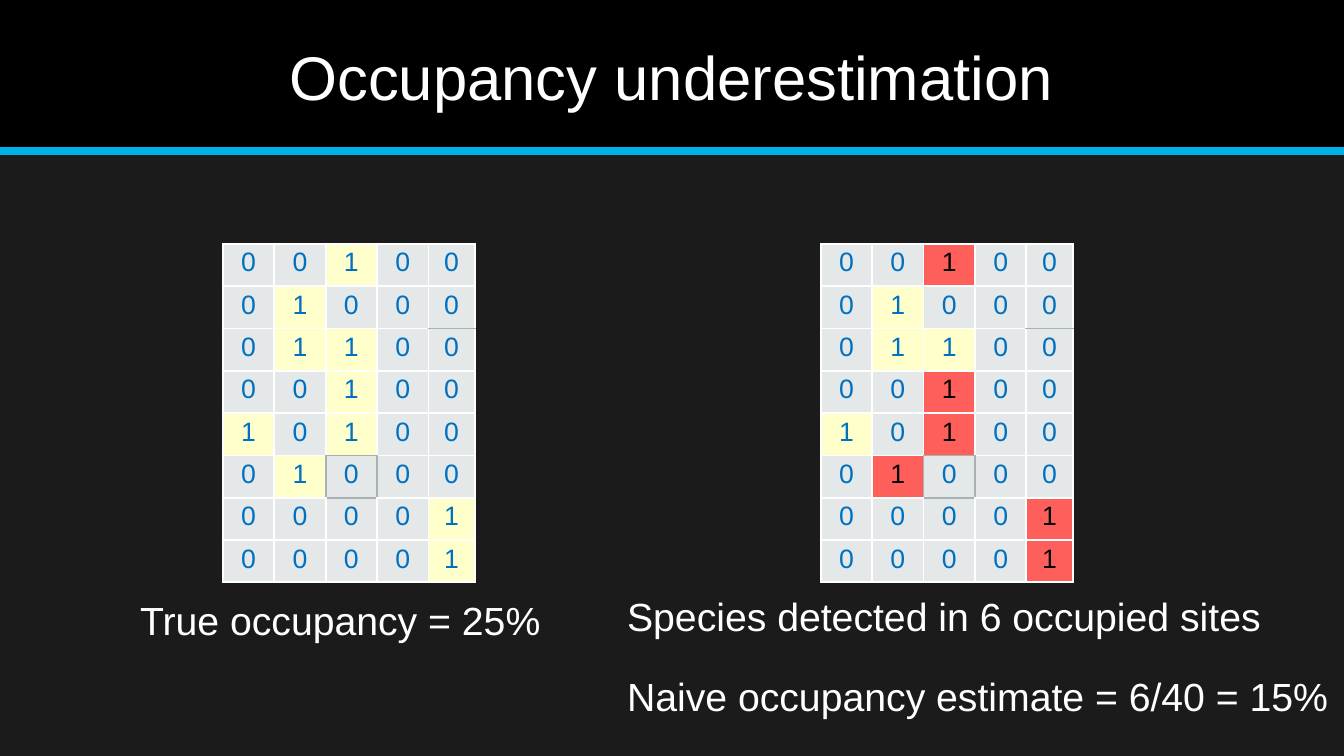
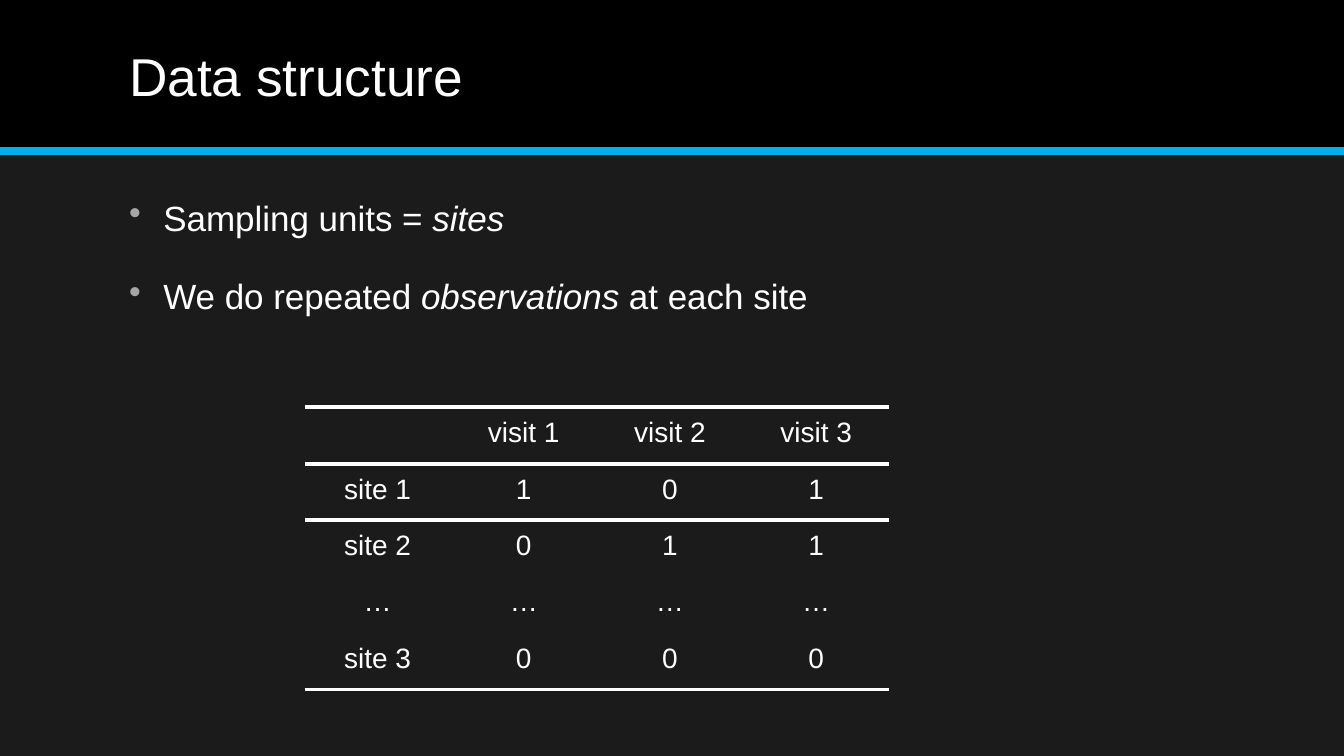
from lxml import etree
from pptx import Presentation
from pptx import util as u
from pptx.dml.color import RGBColor
from pptx.enum import shapes, text
from pptx.oxml import ns

PX = 9144
WHITE, BLACK, DARK, BLUE = "FFFFFF", "000000", "1B1B1B", "00B0EA"
PALE, YELLOW, RED, INK, GREY = "E5E8E8", "FFFFCC", "FF5F5B", "0070C0", "A8B2B2"
BULLET = "A6A6A6"
SITES = ("00100", "01000", "01100", "00100", "10100", "01000", "00001", "00001")
DETECTED = {(0, 2), (3, 2), (4, 2), (5, 1), (6, 4), (7, 4)}
GREY_EDGES = {(1, 4): "B", (2, 4): "T", (4, 2): "B", (5, 1): "R",
              (5, 2): "LRTB", (5, 3): "L", (6, 2): "T"}
VISITS = (("", "visit 1", "visit 2", "visit 3"), ("site 1", "1", "0", "1"),
          ("site 2", "0", "1", "1"), ("…",) * 4, ("site 3", "0", "0", "0"))
RULES = ("TB", "TB", "T", "", "B")


def px(n):
    """Turn whole pixels into EMU."""
    return u.Emu(n * PX)


def rgb(value):
    """Turn a hex string into a colour."""
    return RGBColor.from_string(value)


def sub(parent, tag, **attrs):
    """Append a drawing element and return it."""
    return etree.SubElement(parent, ns.qn("a:" + tag), attrs)


def write(p, parts, size=28, color=WHITE, align=text.PP_ALIGN.LEFT, before=0, bullet=False):
    """Fill a paragraph; every second part is italic."""
    p.alignment = align
    p.space_before = u.Pt(before)
    if bullet:
        pPr = p._p.get_or_add_pPr()
        pPr.set("marL", str(px(35)))
        pPr.set("indent", str(px(-34)))
        sub(sub(pPr, "buClr"), "srgbClr", val=BULLET)
        sub(pPr, "buChar", char="•")
    for i, part in enumerate(parts):
        r = p.add_run()
        r.text = part
        r.font.name, r.font.size = "Arial", u.Pt(size)
        r.font.italic = i % 2 == 1
        r.font.color.rgb = rgb(color)


def draw_borders(cell, colors, width):
    """Draw the given edges of a cell and clear the others."""
    tcPr = cell._tc.get_or_add_tcPr()
    for side in "LRTB":
        ln = sub(tcPr, "ln" + side, w=str(u.Pt(width)))
        if side in colors:
            sub(sub(ln, "solidFill"), "srgbClr", val=colors[side])
        else:
            sub(ln, "noFill")


class Deck:
    """Hold the shared style and the current slide."""

    def __init__(self):
        """Start an empty wide deck."""
        self.prs = Presentation()
        self.prs.slide_width, self.prs.slide_height = u.Inches(13.33), u.Inches(7.5)

    def slide(self, title, x, y, size):
        """Add a slide with its title band."""
        self.s = self.prs.slides.add_slide(self.prs.slide_layouts[6])
        fill = self.s.background.fill
        fill.solid()
        fill.fore_color.rgb = rgb(DARK)
        band = self.s.shapes.add_shape(shapes.MSO_SHAPE.RECTANGLE, 0, 0, px(1333), px(146))
        band.shadow.inherit = False
        band.fill.solid()
        band.fill.fore_color.rgb = rgb(BLACK)
        band.line.fill.background()
        rule = self.s.shapes.add_connector(
            shapes.MSO_CONNECTOR.STRAIGHT, 0, px(150), px(1333), px(150))
        rule.line.color.rgb = rgb(BLUE)
        rule.line.width = u.Pt(6)
        sub(rule._element.spPr, "effectLst")
        self.textbox(x, y, 800, 70, [(title,)], size=size)

    def textbox(self, x, y, w, h, paragraphs, gap=0, **style):
        """Add a text box with a gap between paragraphs."""
        sp = self.s.shapes.add_textbox(px(x), px(y), px(w), px(h))
        tf = sp.text_frame
        tf.word_wrap = True
        tf.margin_left = tf.margin_right = tf.margin_top = tf.margin_bottom = 0
        for i, parts in enumerate(paragraphs):
            p = tf.add_paragraph() if i else tf.paragraphs[0]
            write(p, parts, before=gap if i else 0, **style)

    def table(self, x, y, widths, row_height, rows, style, size, inset, border):
        """Add a table; style gives fill, ink and edges of a cell."""
        frame = self.s.shapes.add_table(len(rows), len(widths), px(x), px(y),
                                        px(sum(widths)), px(row_height * len(rows)))
        table = frame.table
        table.first_row = table.horz_banding = False
        for column, width in zip(table.columns, widths):
            column.width = px(width)
        for i, row in enumerate(rows):
            table.rows[i].height = px(row_height)
            for j, value in enumerate(row):
                cell = table.cell(i, j)
                fill, ink, edges = style(i, j)
                cell.margin_left = cell.margin_right = cell.margin_bottom = 0
                cell.margin_top = px(inset)
                draw_borders(cell, edges, border)
                cell.fill.solid()
                cell.fill.fore_color.rgb = rgb(fill)
                if value:
                    write(cell.text_frame.paragraphs[0], (value,), size=size,
                          color=ink, align=text.PP_ALIGN.CENTER)

    def site_grid(self, x, detected=()):
        """Add the grid of sites, with detections in red."""
        def style(i, j):
            """Colour one site."""
            edges = {side: GREY if side in GREY_EDGES.get((i, j), "") else WHITE
                     for side in "LRTB"}
            if (i, j) in detected:
                return RED, BLACK, edges
            return YELLOW if SITES[i][j] == "1" else PALE, INK, edges
        self.table(x, 242, [51] * 4 + [46], 42, SITES, style, size=19, inset=4, border=1.5)

    def visit_table(self, x, y):
        """Add the table of visits, ruled across."""
        def style(i, j):
            """Rule one row."""
            return DARK, WHITE, dict.fromkeys(RULES[i], WHITE)
        self.table(x, y, [145] * 4, 56, VISITS, style, size=20, inset=10, border=3)


def main():
    """Build both slides."""
    deck = Deck()
    deck.slide("Occupancy underestimation", 287, 39, 44)
    deck.site_grid(814, DETECTED)
    deck.site_grid(221)
    deck.textbox(139, 592, 411, 49, [("True occupancy = 25%",)])
    deck.textbox(622, 588, 710, 127, [("Species detected in 6 occupied sites",),
                                      ("Naive occupancy estimate = 6/40 = 15%",)], gap=23.5)
    deck.slide("Data structure", 128, 43, 38)
    deck.textbox(127, 195, 687, 121, [("Sampling units = ", "sites"),
                                      ("We do repeated ", "observations ", "at each site")],
                 gap=26, size=25, bullet=True)
    deck.visit_table(302, 404)
    deck.prs.save("out.pptx")


if __name__ == "__main__":
    main()
